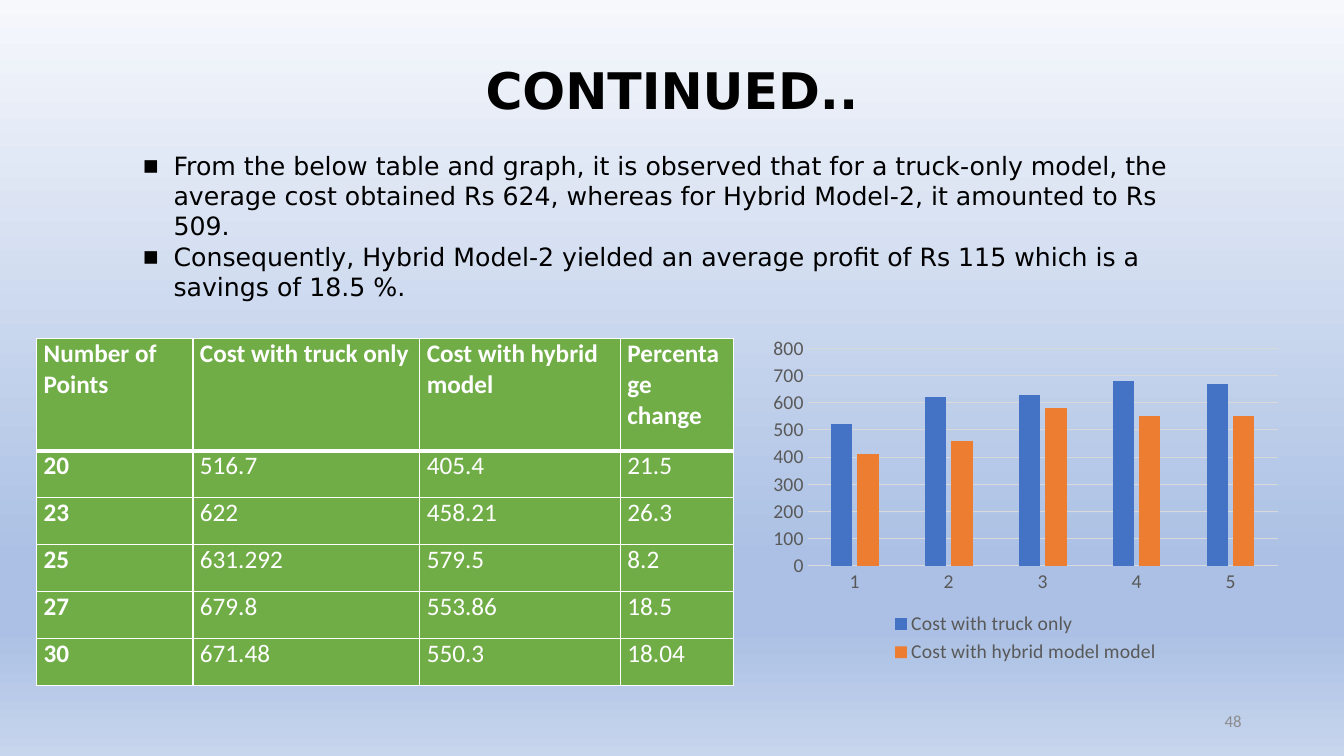
from lxml import etree
from pptx import Presentation
from pptx.chart.data import CategoryChartData
from pptx.dml.color import RGBColor
from pptx.enum.chart import XL_CHART_TYPE, XL_LEGEND_POSITION, XL_TICK_MARK
from pptx.enum.text import MSO_ANCHOR, PP_ALIGN
from pptx.oxml.ns import qn
from pptx.util import Inches, Pt

COLUMNS = XL_CHART_TYPE.COLUMN_CLUSTERED
BOTTOM = XL_LEGEND_POSITION.BOTTOM
NO_TICK = XL_TICK_MARK.NONE
TOP, MIDDLE = MSO_ANCHOR.TOP, MSO_ANCHOR.MIDDLE
LEFT, CENTER, RIGHT = PP_ALIGN.LEFT, PP_ALIGN.CENTER, PP_ALIGN.RIGHT

TITLE = "CONTINUED.."
PAGE = "48"
BULLETS = [
    "From the below table and graph, it is observed that for a truck-only model, "
    "the average cost obtained Rs 624, whereas for Hybrid Model-2, it amounted to Rs 509.",
    "Consequently, Hybrid Model-2 yielded an average profit of Rs 115 "
    "which is a savings of 18.5 %.",
]
HEADER = ["Number of Points", "Cost with truck only", "Cost with hybrid model",
          "Percentage change"]
COSTS = [
    (20, 516.7, 405.4, 21.5),
    (23, 622, 458.21, 26.3),
    (25, 631.292, 579.5, 8.2),
    (27, 679.8, 553.86, 18.5),
    (30, 671.48, 550.3, 18.04),
]
# Series name, its column in COSTS, its colour
SERIES = [("Cost with truck only", 1, "truck"),
          ("Cost with hybrid model model", 2, "hybrid")]

COLORS = {"black": "000000", "white": "FFFFFF", "page": "8C8C8C", "cell": "70AD47",
          "truck": "4472C4", "hybrid": "ED7D31", "label": "595959", "grid": "D9D9D9"}
BACKGROUND = [(0, "F6F8FC"), (74, "ABC0E4"), (83, "ABC0E4"), (100, "C7D5ED")]
HEAD_FONT, BODY_FONT = "DejaVu Sans", "Calibri"

# Left, top, width, height in percent of the slide
TITLE_BOX = (6.9, 5.4, 86.2, 13.87)
BULLET_BOX = (9.85, 19.2, 79.6, 21.6)
TABLE_BOX = (2.73, 44.8, 51.84, 45.9)
CHART_BOX = (56.76, 43.6, 39.08, 44.8)
PAGE_BOX = (70.62, 92.67, 22.5, 5.33)
COL_SHARES = (1.55, 2.25, 1.99, 1.12)
ROW_SHARES = (1.12,) + (0.47,) * len(COSTS)

prs = Presentation()
prs.slide_width, prs.slide_height = Inches(13.33), Inches(7.5)
s = prs.slides.add_slide(prs.slide_layouts[6])


def rgb(name):
    return RGBColor.from_string(COLORS[name])


def place(box):
    sides = (prs.slide_width, prs.slide_height) * 2
    return [round(share * side / 100) for share, side in zip(box, sides)]


def style(font, size, color, name=BODY_FONT, bold=False):
    font.size, font.name, font.bold = Pt(size), name, bold
    font.color.rgb = rgb(color)


def add_text(box, lines, size, color, name, align, anchor=TOP, bold=False):
    tf = s.shapes.add_textbox(*place(box)).text_frame
    tf.word_wrap, tf.vertical_anchor = True, anchor
    tf.text = "\n".join(lines)
    for p in tf.paragraphs:
        p.alignment = align
        for r in p.runs:
            style(r.font, size, color, name, bold)
    return tf


def paint_background():
    fill = s.background.fill
    fill.gradient()
    fill.gradient_angle = 270
    stops = s._element.find(".//" + qn("a:gsLst"))
    for stop in list(stops):
        stops.remove(stop)
    for percent, color in BACKGROUND:
        stop = etree.SubElement(stops, qn("a:gs"), pos=str(percent * 1000))
        etree.SubElement(stop, qn("a:srgbClr"), val=color)


def set_borders(cell, **widths):
    """Draw white borders; widths are points keyed by L, R, T and B."""
    tcPr = cell._tc.get_or_add_tcPr()
    for i, side in enumerate("LRTB"):
        ln = etree.Element(qn("a:ln" + side), w=str(Pt(widths.get(side, 1))))
        fill = etree.SubElement(ln, qn("a:solidFill"))
        etree.SubElement(fill, qn("a:srgbClr"), val=COLORS["white"])
        tcPr.insert(i, ln)


def add_cost_table():
    rows = [HEADER] + COSTS
    x, y, w, h = place(TABLE_BOX)
    table = s.shapes.add_table(len(rows), len(HEADER), x, y, w, h).table
    table.horz_banding = table.first_row = False
    for col, share in zip(table.columns, COL_SHARES):
        col.width = round(w * share / sum(COL_SHARES))
    for row, share in zip(table.rows, ROW_SHARES):
        row.height = round(h * share / sum(ROW_SHARES))
    for i, values in enumerate(rows):
        for j, value in enumerate(values):
            cell = table.cell(i, j)
            cell.text = str(value)
            cell.margin_left = cell.margin_right = Inches(0.07)
            cell.margin_top = cell.margin_bottom = 0
            cell.fill.solid()
            cell.fill.fore_color.rgb = rgb("cell")
            set_borders(cell, T=3 if i == 1 else 1, B=3 if i == 0 else 1)
            style(cell.text_frame.paragraphs[0].runs[0].font, 18, "white",
                  bold=i == 0 or j == 0)


def add_cost_chart():
    data = CategoryChartData()
    data.categories = [str(i + 1) for i in range(len(COSTS))]
    for name, column, _ in SERIES:
        data.add_series(name, [round(row[column], -1) for row in COSTS])
    chart = s.shapes.add_chart(COLUMNS, *place(CHART_BOX), data).chart
    style(chart.font, 14, "label")
    chart.has_title = False
    chart.has_legend = True
    chart.legend.position = BOTTOM
    chart.legend.include_in_layout = False
    style(chart.legend.font, 14, "label")

    plot = chart.plots[0]
    plot.gap_width, plot.overlap, plot.vary_by_categories = 219, -27, False
    for series, (_, _, color) in zip(plot.series, SERIES):
        series.format.fill.solid()
        series.format.fill.fore_color.rgb = rgb(color)

    cat, val = chart.category_axis, chart.value_axis
    for axis in (cat, val):
        axis.major_tick_mark = axis.minor_tick_mark = NO_TICK
        style(axis.tick_labels.font, 14, "label")
    val.minimum_scale, val.maximum_scale, val.major_unit = 0, 800, 100
    val.format.line.fill.background()
    for line in (cat.format.line, val.major_gridlines.format.line):
        line.width = Pt(0.75)
        line.color.rgb = rgb("grid")


paint_background()
title = add_text(TITLE_BOX, [TITLE], 36, "black", HEAD_FONT, CENTER, MIDDLE, True)
title.paragraphs[0].line_spacing = 0.9
add_text(PAGE_BOX, [PAGE], 12, "page", BODY_FONT, RIGHT, MIDDLE)
for p in add_text(BULLET_BOX, BULLETS, 18, "black", HEAD_FONT, LEFT).paragraphs:
    pPr = p._p.get_or_add_pPr()
    pPr.set("marL", str(Inches(0.31)))
    pPr.set("indent", str(-Inches(0.31)))
    etree.SubElement(pPr, qn("a:buFont"), typeface=HEAD_FONT)
    etree.SubElement(pPr, qn("a:buChar"), char="▪")
add_cost_table()
add_cost_chart()
prs.save("out.pptx")
